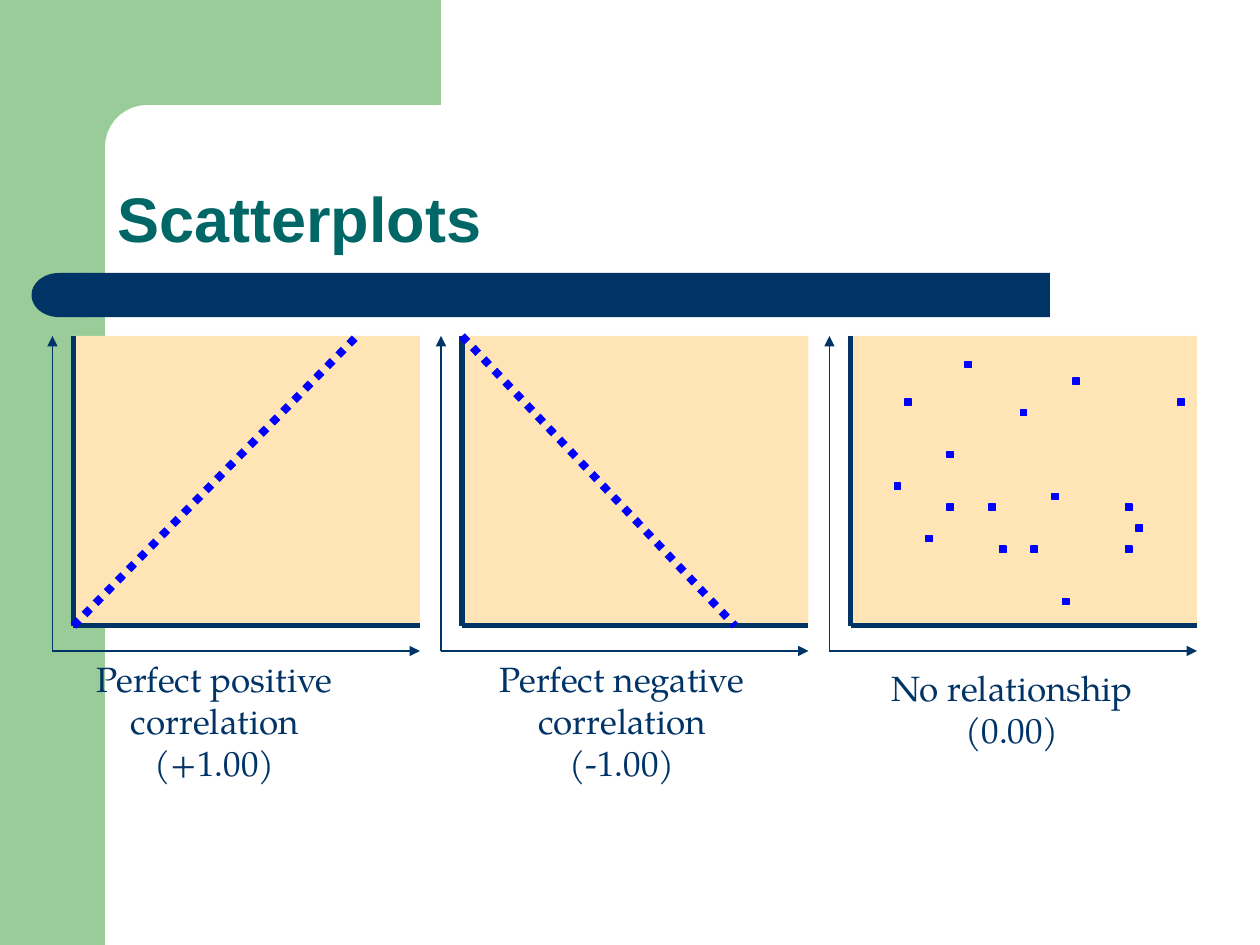
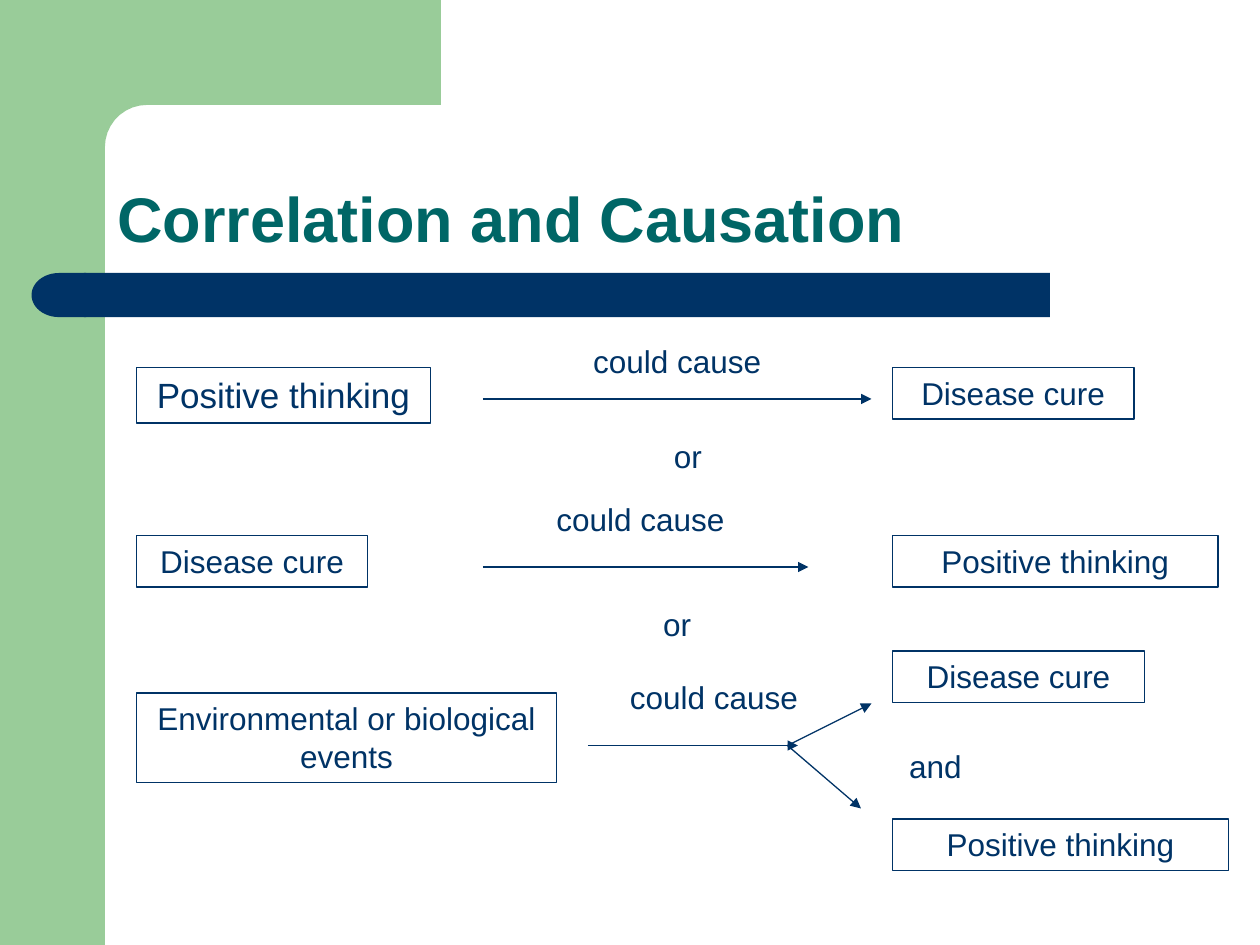
import math
from dataclasses import dataclass

import pptx
import pptx.dml.color
import pptx.enum.dml
import pptx.enum.shapes
import pptx.enum.text
import pptx.oxml
import pptx.oxml.ns
import pptx.util

Cm, Pt = pptx.util.Cm, pptx.util.Pt
RGB = pptx.dml.color.RGBColor.from_string
SHAPE = pptx.enum.shapes.MSO_SHAPE
ALIGN = pptx.enum.text.PP_ALIGN
ANCHOR = pptx.enum.text.MSO_ANCHOR


# Theme: colours, fonts and type sizes
@dataclass(frozen=True)
class Theme:
    green: str = "99CC99"
    navy: str = "003366"
    teal: str = "006666"
    sand: str = "FFE5B5"
    blue: str = "0000FF"
    sans: str = "Arial"
    serif: str = "TeX Gyre Pagella"
    title: int = 36
    large: int = 20
    body: int = 18
    thin: float = 0.75
    axis: float = 3
    dotted: float = 4.5


T = Theme()


# Places are (left, top, width, height) on a grid of 120 by 90 units
@dataclass(frozen=True)
class Label:
    text: str
    at: tuple
    size: int = T.body
    font: str = T.sans
    framed: bool = False


@dataclass(frozen=True)
class Line:
    start: tuple
    end: tuple
    color: str = T.navy
    width: float = T.thin
    arrow: bool = False
    dotted: bool = False


def grid(n: float) -> int:
    return Cm(n * 2.54 / 12)


def add_shape(s, kind, at: tuple, color: str):
    sp = s.shapes.add_shape(kind, *map(grid, at))
    sp.shadow.inherit = False
    sp.fill.solid()
    sp.fill.fore_color.rgb = RGB(color)
    sp.line.fill.background()
    return sp


def add_line(s, line: Line) -> None:
    sp = s.shapes.add_connector(pptx.enum.shapes.MSO_CONNECTOR.STRAIGHT,
                                *map(grid, line.start + line.end))
    sp.line.color.rgb = RGB(line.color)
    sp.line.width = Pt(line.width)
    if line.dotted:
        sp.line.dash_style = pptx.enum.dml.MSO_LINE.ROUND_DOT
    if line.arrow:
        ns = pptx.oxml.ns.nsdecls("a")
        ln = sp.line._get_or_add_ln()
        ln.append(pptx.oxml.parse_xml(f'<a:tailEnd {ns} type="triangle"/>'))
    sp._element.spPr.append(pptx.oxml.parse_xml(
        f'<a:effectLst {pptx.oxml.ns.nsdecls("a")}/>'))


def add_label(s, label: Label) -> None:
    sp = s.shapes.add_textbox(*map(grid, label.at))
    if label.framed:
        sp.line.color.rgb = RGB(T.navy)
        sp.line.width = Pt(T.thin)
    tf = sp.text_frame
    tf.word_wrap = True
    tf.text = label.text
    for p in tf.paragraphs:
        p.alignment = ALIGN.CENTER
        p.font.name, p.font.size = label.font, Pt(label.size)
        p.font.color.rgb = RGB(T.navy)


def add_title(s, text: str) -> None:
    tf = s.shapes.add_textbox(*map(grid, (10, 10, 104, 15))).text_frame
    tf.word_wrap = True
    tf.vertical_anchor = ANCHOR.BOTTOM
    p = tf.paragraphs[0]
    p.text = text
    p.line_spacing = 0.9
    p.font.name, p.font.size, p.font.bold = T.sans, Pt(T.title), True
    p.font.color.rgb = RGB(T.teal)


def new_slide(prs, title: str):
    """A slide with the green corner, the navy bar and its title."""
    s = prs.slides.add_slide(prs.slide_layouts[6])
    add_shape(s, SHAPE.RECTANGLE, (0, 0, 10, 90), T.green)
    # Corner block with a rounded inner edge
    angles = [math.radians(a) for a in range(270, 179, -10)]
    arc = [(14 + 4 * math.cos(a), 14 + 4 * math.sin(a)) for a in angles]
    outline = [(42, 10), *arc, (10, 15.4), (6, 15.4), (6, 0)]
    builder = s.shapes.build_freeform(grid(42), 0)
    builder.add_line_segments([(grid(x), grid(y)) for x, y in outline])
    sp = builder.convert_to_shape()
    sp.shadow.inherit = False
    sp.fill.solid()
    sp.fill.fore_color.rgb = RGB(T.green)
    sp.line.fill.background()
    # Bar with a round left end
    add_shape(s, SHAPE.RECTANGLE, (8, 26, 92, 4.2), T.navy)
    add_shape(s, SHAPE.FLOWCHART_DELAY, (3, 26, 5.2, 4.2), T.navy).rotation = 180
    add_title(s, title)
    return s


PLOT_TOP, PLOT_BOTTOM, ARROW_BASE = 32, 59.6, 62


def add_panel(s, left: float) -> None:
    """A plot area with thick axes and thin arrows outside them."""
    x, right = left + 2, left + 35
    add_shape(s, SHAPE.RECTANGLE,
              (x, PLOT_TOP, right - x, PLOT_BOTTOM - PLOT_TOP), T.sand)
    add_line(s, Line((x, PLOT_TOP), (x, PLOT_BOTTOM), width=T.axis))
    add_line(s, Line((x, PLOT_BOTTOM), (right, PLOT_BOTTOM), width=T.axis))
    for end in ((left, PLOT_TOP), (right, ARROW_BASE)):
        add_line(s, Line((left, ARROW_BASE), end, arrow=True))


prs = pptx.Presentation()
prs.slide_width, prs.slide_height = grid(120), grid(90)

# Slide 1: three scatterplots
s = new_slide(prs, "Scatterplots")
captions = [
    ("Perfect positive\ncorrelation\v(+1.00)", (6, 62, 28.9, 9.2)),
    ("Perfect negative\ncorrelation\v(-1.00)", (45.1, 62, 28.3, 9.2)),
    ("No relationship\v(0.00)", (79.2, 62.9, 34.4, 5.2)),
]
for i, (text, at) in enumerate(captions):
    add_label(s, Label(text, at, T.large, T.serif))
    add_panel(s, 5 + 37 * i)

for start, end in [((7, PLOT_BOTTOM), (34, PLOT_TOP)),
                   ((44, PLOT_TOP), (70, PLOT_BOTTOM))]:
    add_line(s, Line(start, end, T.blue, T.dotted, dotted=True))

# Scattered points of the third plot
add_line(s, Line((85, 36.8), (85, 36.8), T.blue))
points = [(91.9, 34.4), (86.2, 38), (97.2, 39), (102.2, 36), (112.2, 38),
          (90.2, 43), (85.2, 46), (94.2, 48), (90.2, 48), (107.2, 48),
          (100.2, 47), (108.2, 50), (88.2, 51), (95.2, 52), (98.2, 52),
          (107.2, 52), (101.2, 57)]
for x, y in points:
    sp = add_shape(s, SHAPE.RECTANGLE, (x, y, 0.6, 0.6), T.blue)
    sp.line.color.rgb = RGB(T.blue)
    sp.line.width = Pt(T.thin)

# Slide 2: possible causes and effects
s = new_slide(prs, "Correlation and Causation")
add_label(s, Label("Positive thinking", (13, 35, 28, 5.3), T.large, framed=True))
boxes = [
    ("Disease cure", (13, 51, 22, 4.9)),
    ("Environmental or biological events", (13, 66, 40, 8.5)),
    ("Disease cure", (85, 35, 23, 4.9)),
    ("Positive thinking", (85, 51, 31, 4.9)),
    ("Disease cure", (85, 62, 24, 4.9)),
    ("Positive thinking", (85, 78, 32, 4.9)),
]
for text, at in boxes:
    add_label(s, Label(text, at, framed=True))

words = [
    ("could cause", (54, 32, 21)), ("or", (61, 41, 9)),
    ("could cause", (50, 47, 22)), ("or", (60, 57, 9)),
    ("could cause", (57, 64, 22)), ("and ", (79, 70.6, 21)),
]
for text, at in words:
    add_label(s, Label(text, (*at, 4.8)))

arrows = [((46, 38), (83, 38)), ((46, 54), (77, 54)), ((56, 71), (76, 71)),
          ((75, 71), (83, 67)), ((75, 71), (82, 77))]
for start, end in arrows:
    add_line(s, Line(start, end, arrow=True))

prs.save("out.pptx")
